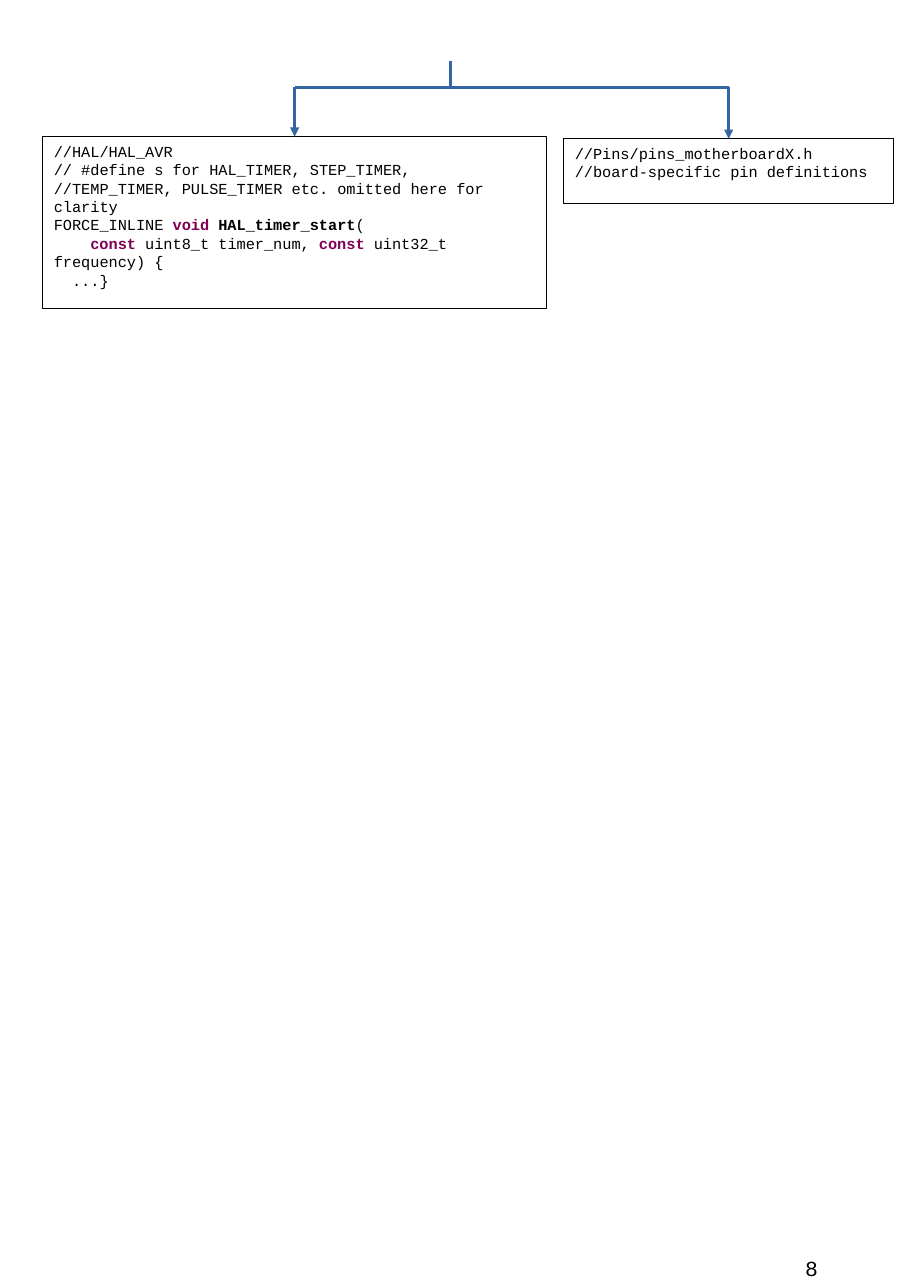
from dataclasses import dataclass

from lxml.etree import SubElement
from pptx import Presentation
from pptx.dml.color import RGBColor
from pptx.enum.shapes import MSO_CONNECTOR as Connector, MSO_SHAPE as Shape
from pptx.enum.text import MSO_ANCHOR as Anchor, MSO_AUTO_SIZE as AutoSize, PP_ALIGN as Align
from pptx.oxml.ns import qn
from pptx.util import Pt


@dataclass(frozen=True)
class Theme:
    black: RGBColor = RGBColor(0x00, 0x00, 0x00)
    keyword: RGBColor = RGBColor(0x7F, 0x00, 0x55)
    branch: RGBColor = RGBColor(0x34, 0x65, 0xA4)
    font: str = "Courier New"
    code_size: int = 10
    page_size: int = 14
    line_width: int = 0


THEME = Theme()

# Code styles
PLAIN = {"color": THEME.black, "bold": False}
STRONG = {"color": THEME.black, "bold": True}
KEYWORD = {"color": THEME.keyword, "bold": True}

# Each line of code is a list of (text, style) spans
HAL_CODE = [
    [("//HAL/HAL_AVR", PLAIN)],
    [("// #define s for HAL_TIMER, STEP_TIMER,", PLAIN)],
    [("//TEMP_TIMER, PULSE_TIMER etc. omitted here for clarity", PLAIN)],
    [("FORCE_INLINE ", PLAIN), ("void ", KEYWORD), ("HAL_timer_start", STRONG), ("(", PLAIN)],
    [("    ", STRONG), ("const", KEYWORD), (" uint8_t timer_num, ", PLAIN),
     ("const", KEYWORD), (" uint32_t frequency) {", PLAIN)],
    [("  ...}", PLAIN)],
]
PINS_CODE = [
    [("//Pins/pins_motherboardX.h", PLAIN)],
    [("//board-specific pin definitions", PLAIN)],
]

# Branch geometry, in points
STEM_X, STEM_TOP, BRANCH_Y = 294.5, 39.6, 57


def set_attributes(target, values):
    for name, value in values.items():
        setattr(target, name, value)


def write_lines(frame, lines, size, wrap=True):
    set_attributes(frame, {
        "word_wrap": wrap, "auto_size": AutoSize.NONE, "vertical_anchor": Anchor.TOP,
        "margin_left": Pt(7.2), "margin_right": Pt(7.2),
        "margin_top": Pt(3.6), "margin_bottom": Pt(3.6),
    })
    for index, line in enumerate(lines):
        para = frame.add_paragraph() if index else frame.paragraphs[0]
        para.alignment = Align.LEFT
        for text, style in line:
            span = para.add_run()
            span.text = text
            set_attributes(span.font, {"name": THEME.font, "size": Pt(size), "bold": style["bold"]})
            span.font.color.rgb = style["color"]


def add_code_box(page, left, top, width, height, lines):
    box = page.shapes.add_shape(Shape.RECTANGLE, Pt(left), Pt(top), Pt(width), Pt(height))
    box.shadow.inherit = False
    box.fill.background()
    box.line.color.rgb = THEME.black
    box.line.width = Pt(THEME.line_width)
    write_lines(box.text_frame, lines, THEME.code_size)
    return box


def add_line(page, x1, y1, x2, y2):
    line = page.shapes.add_connector(Connector.STRAIGHT, Pt(x1), Pt(y1), Pt(x2), Pt(y2))
    line.line.color.rgb = THEME.branch
    line.line.width = Pt(THEME.line_width)
    SubElement(line._element.spPr, qn("a:effectLst"))
    return line


def add_branch(page, box):
    center = (box.left + box.width / 2) / Pt(1)
    add_line(page, STEM_X, BRANCH_Y, center, BRANCH_Y)
    arrow = add_line(page, center, BRANCH_Y, center, box.top / Pt(1))
    arrow.end_connect(box, 0)
    SubElement(arrow.line._get_or_add_ln(), qn("a:tailEnd"), type="triangle")


def add_page_number(page, number):
    box = page.shapes.add_textbox(Pt(519.1), Pt(816.5), Pt(24), Pt(23.8))
    write_lines(box.text_frame, [[(number, PLAIN)]], THEME.page_size, wrap=False)


def main():
    deck = Presentation()
    set_attributes(deck, {"slide_width": Pt(595.44), "slide_height": Pt(841.68)})
    page = deck.slides.add_slide(deck.slide_layouts[6])

    # Code boxes
    pins_box = add_code_box(page, 368.6, 90.7, 215.3, 42.2, PINS_CODE)
    hal_box = add_code_box(page, 28.1, 89.3, 329, 112.3, HAL_CODE)

    # Stem that splits into one arrow per box
    add_line(page, STEM_X, STEM_TOP, STEM_X, BRANCH_Y)
    for box in (hal_box, pins_box):
        add_branch(page, box)

    add_page_number(page, "8")
    deck.save("out.pptx")


if __name__ == "__main__":
    main()
